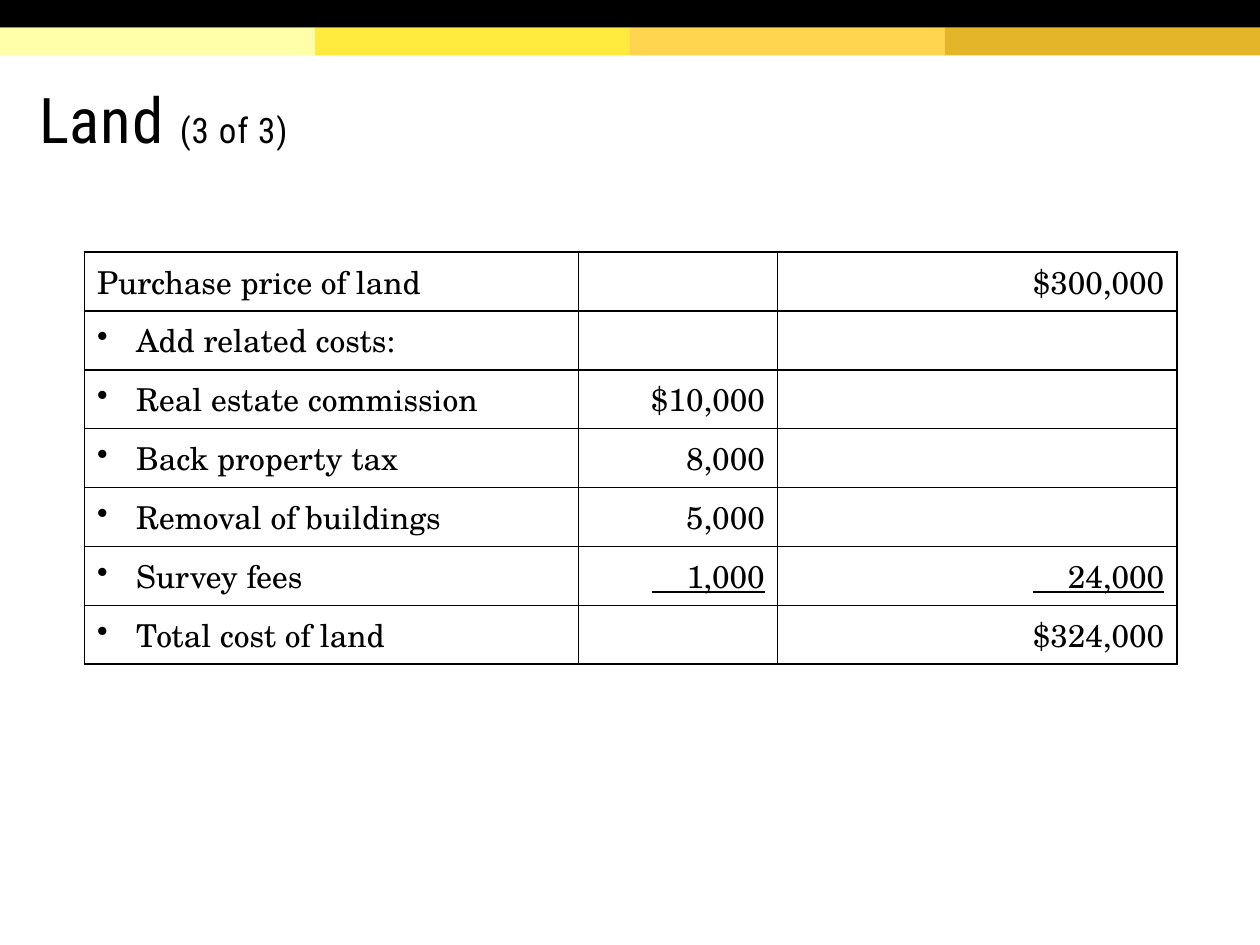
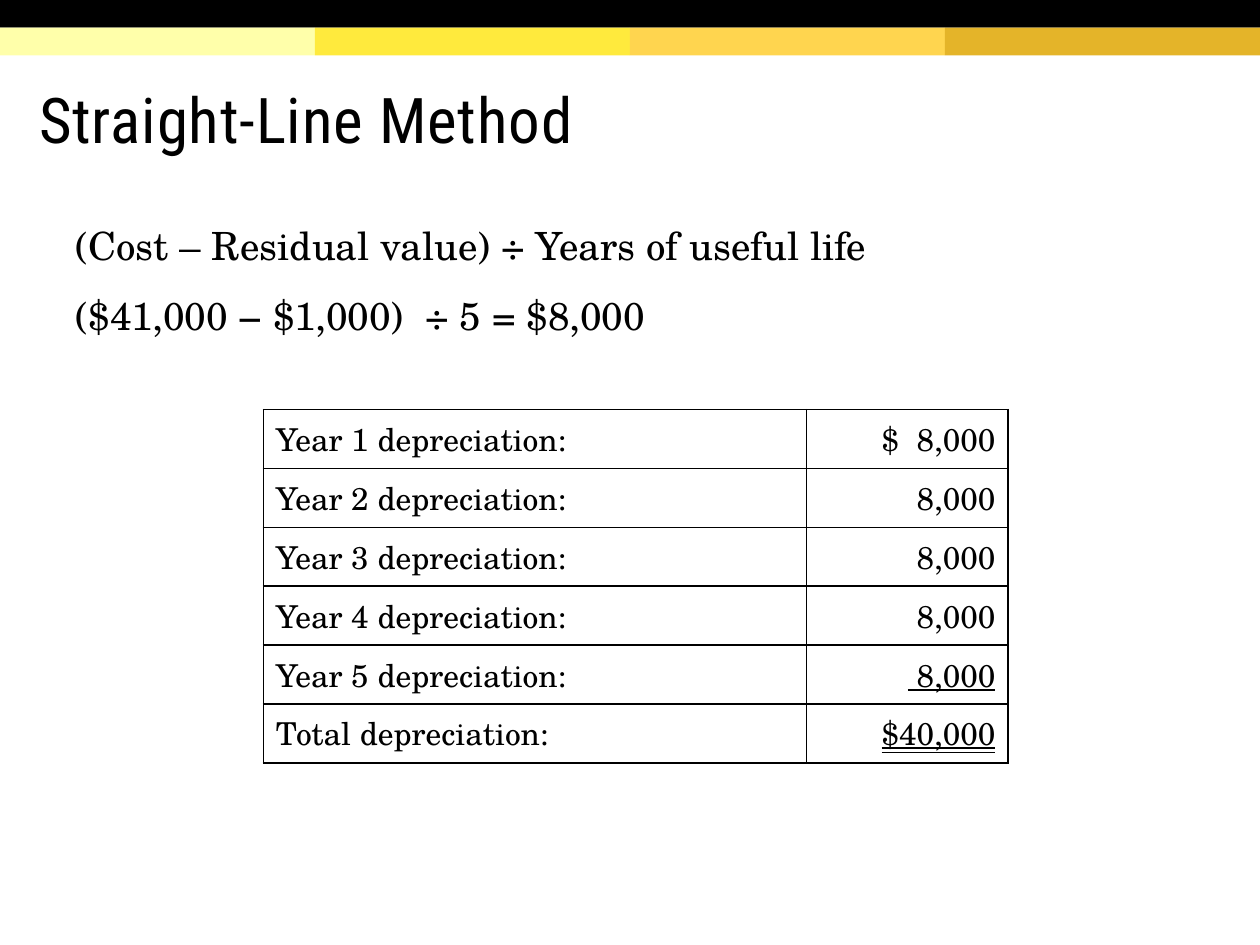
from lxml import etree
from pptx import Presentation
from pptx.dml.color import RGBColor
from pptx.enum.shapes import MSO_SHAPE
from pptx.enum.text import MSO_ANCHOR, MSO_AUTO_SIZE, MSO_UNDERLINE, PP_ALIGN
from pptx.oxml import parse_xml
from pptx.oxml.ns import nsdecls, qn
from pptx.util import Inches, Pt

TITLE_FONT = "Roboto Condensed"
TEXT_FONT = "TeX Gyre Schola"
BLACK = "000000"
STRIPE_COLORS = ["FFFFAA", "FFEA3D", "FFD54F", "E4B429"]
SLIDE_WIDTH, SLIDE_HEIGHT = 10, 7.5
BAND_HEIGHT = 0.22
ROW_HEIGHT = 0.46
BULLET_INDENT = 0.31
TITLE_ONLY, TITLE_AND_BODY = 5, 1

# Title runs are (text, size in points).
LAND_TITLE = [("Land ", 36), ("(3 of 3)", 20)]
LAND_ROWS = [
    ["Purchase price of land", "", "$300,000"],
    ["Add related costs:", "", ""],
    ["Real estate commission", "$10,000", ""],
    ["Back property tax", "8,000", ""],
    ["Removal of buildings", "5,000", ""],
    ["Survey fees", "    1,000", "    24,000"],
    ["Total cost of land", "", "$324,000"],
]
LAND_UNDERLINES = {(5, 1): MSO_UNDERLINE.SINGLE_LINE, (5, 2): MSO_UNDERLINE.SINGLE_LINE}

METHOD_TITLE = [("Straight-Line Method", 36)]
FORMULAS = [
    "(Cost – Residual value) ÷ Years of useful life",
    "($41,000 − $1,000)  ÷ 5 = $8,000",
]
YEARLY_AMOUNTS = ["$  8,000", "8,000", "8,000", "8,000", " 8,000"]
DEPRECIATION_ROWS = [
    [f"Year {year} depreciation:", amount]
    for year, amount in enumerate(YEARLY_AMOUNTS, start=1)
] + [["Total depreciation:", "$40,000"]]
DEPRECIATION_UNDERLINES = {(4, 1): MSO_UNDERLINE.SINGLE_LINE, (5, 1): MSO_UNDERLINE.DOUBLE_LINE}


def color(hex_string):
    return RGBColor.from_string(hex_string)


def place(shape, left, top, width, height):
    shape.left, shape.top = Inches(left), Inches(top)
    shape.width, shape.height = Inches(width), Inches(height)


def format_font(font, name, size):
    font.name, font.size = name, Pt(size)
    font.color.rgb = color(BLACK)


def set_bullet(paragraph, character=None, indent=0):
    """Give the paragraph a hanging bullet, or none without a character."""
    properties = paragraph._p.get_or_add_pPr()
    properties.set("marL", str(Inches(indent)))
    properties.set("indent", str(-Inches(indent)))
    if character:
        etree.SubElement(properties, qn("a:buChar")).set("char", character)
    else:
        etree.SubElement(properties, qn("a:buNone"))


def add_master_bands(presentation, slide):
    """Draw the top bands and move them to the back of the slide master."""
    stripe_width = SLIDE_WIDTH / len(STRIPE_COLORS)
    bands = [(0, 0, SLIDE_WIDTH, BLACK)]
    bands += [(index * stripe_width, BAND_HEIGHT, stripe_width, fill)
              for index, fill in enumerate(STRIPE_COLORS)]
    master_tree = presentation.slide_master.shapes.element
    for number, (left, top, width, fill) in enumerate(bands):
        band = slide.shapes.add_shape(MSO_SHAPE.RECTANGLE, Inches(left), Inches(top),
                                      Inches(width), Inches(BAND_HEIGHT))
        band.shadow.inherit = False
        band.fill.solid()
        band.fill.fore_color.rgb = color(fill)
        band.line.fill.background()
        band.element.nvSpPr.cNvPr.id = 100 + number
        master_tree.insert(2 + number, band.element)


def set_title(slide, runs):
    title = slide.shapes.title
    place(title, 0.21, 0.47, 9.49, 0.98)
    frame = title.text_frame
    frame.auto_size = MSO_AUTO_SIZE.NONE
    frame.vertical_anchor = MSO_ANCHOR.MIDDLE
    frame.margin_left = frame.margin_right = frame.margin_top = Inches(0.1)
    frame.margin_bottom = Inches(0.05)
    paragraph = frame.paragraphs[0]
    paragraph.alignment = PP_ALIGN.LEFT
    paragraph.line_spacing = 0.85
    for text, size in runs:
        run = paragraph.add_run()
        run.text = text
        format_font(run.font, TITLE_FONT, size)
        run._r.get_or_add_rPr().set("spc", "50")


def set_body(slide, lines):
    body = slide.placeholders[1]
    place(body, 0.5, 1.75, 9, 1)
    frame = body.text_frame
    frame.auto_size = MSO_AUTO_SIZE.NONE
    frame.text = "\n".join(lines)
    for index, paragraph in enumerate(frame.paragraphs):
        set_bullet(paragraph)
        paragraph.line_spacing = 0.9
        paragraph.space_before = Pt(8 if index else 0)
        paragraph.space_after = Pt(8)
        format_font(paragraph.runs[0].font, TEXT_FONT, 22.2)


def add_borders(cell):
    properties = cell._tc.get_or_add_tcPr()
    for position, side in enumerate("LRTB"):
        properties.insert(position, parse_xml(
            f'<a:ln{side} {nsdecls("a")} w="{Pt(1)}"><a:solidFill>'
            f'<a:srgbClr val="{BLACK}"/></a:solidFill></a:ln{side}>'))


def add_amount_table(slide, rows, column_widths, left, top, underlines, bullets_from=None):
    """Add a ruled table: labels on the left, right-aligned amounts after them."""
    table = slide.shapes.add_table(
        len(rows), len(column_widths), Inches(left), Inches(top),
        Inches(sum(column_widths)), Inches(ROW_HEIGHT * len(rows))).table
    table.first_row = table.horz_banding = False
    for column, width in zip(table.columns, column_widths):
        column.width = Inches(width)
    for row_index, row in enumerate(rows):
        table.rows[row_index].height = Inches(ROW_HEIGHT)
        for column_index, text in enumerate(row):
            cell = table.cell(row_index, column_index)
            cell.fill.background()
            add_borders(cell)
            cell.text_frame.text = text
            paragraph = cell.text_frame.paragraphs[0]
            if column_index:
                paragraph.alignment = PP_ALIGN.RIGHT
            elif bullets_from is not None and row_index >= bullets_from:
                set_bullet(paragraph, "•", BULLET_INDENT)
            for run in paragraph.runs:
                format_font(run.font, TEXT_FONT, 18)
                run.font.underline = underlines.get((row_index, column_index))


def main():
    presentation = Presentation()
    presentation.slide_width = Inches(SLIDE_WIDTH)
    presentation.slide_height = Inches(SLIDE_HEIGHT)
    layouts = presentation.slide_layouts

    land_slide = presentation.slides.add_slide(layouts[TITLE_ONLY])
    add_master_bands(presentation, land_slide)
    set_title(land_slide, LAND_TITLE)
    add_amount_table(land_slide, LAND_ROWS, [3.92, 1.58, 3.17], 0.67, 2,
                     LAND_UNDERLINES, bullets_from=1)

    method_slide = presentation.slides.add_slide(layouts[TITLE_AND_BODY])
    set_title(method_slide, METHOD_TITLE)
    set_body(method_slide, FORMULAS)
    add_amount_table(method_slide, DEPRECIATION_ROWS, [4.31, 1.6], 2.09, 3.25,
                     DEPRECIATION_UNDERLINES)

    presentation.save("out.pptx")


if __name__ == "__main__":
    main()
